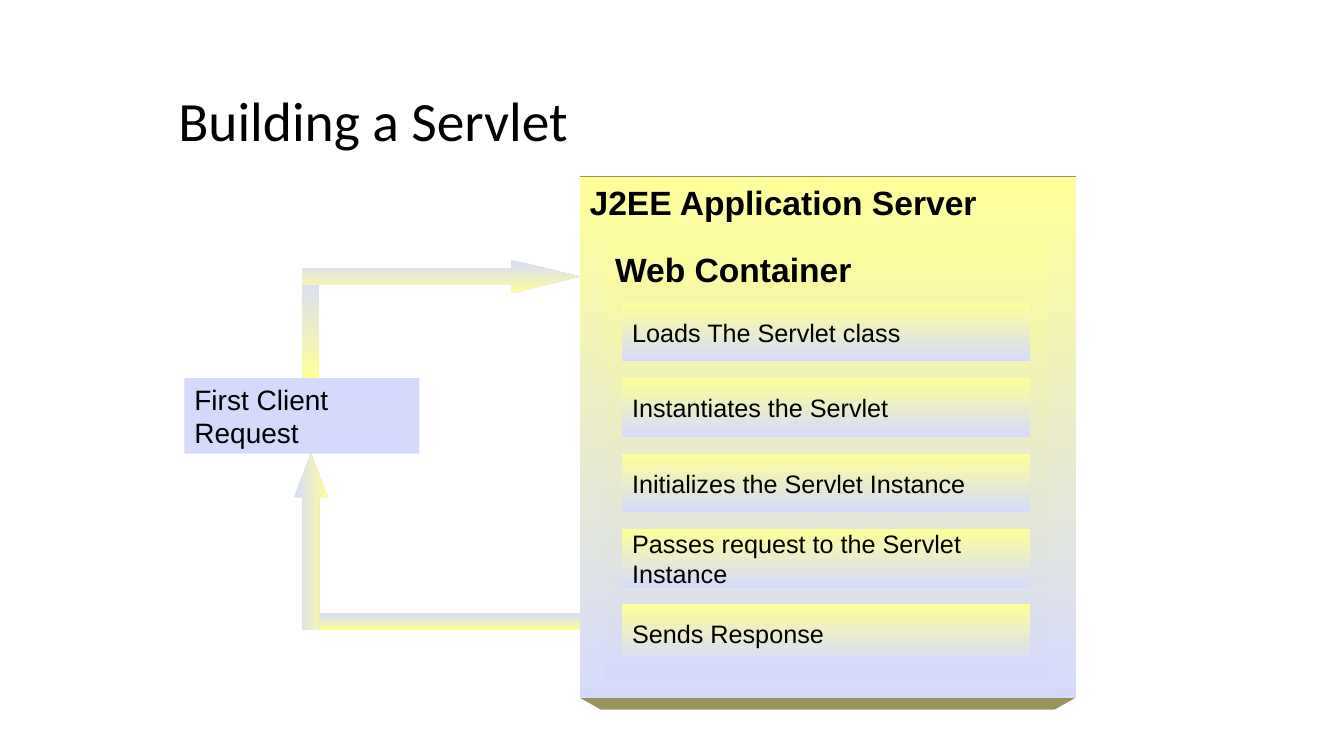
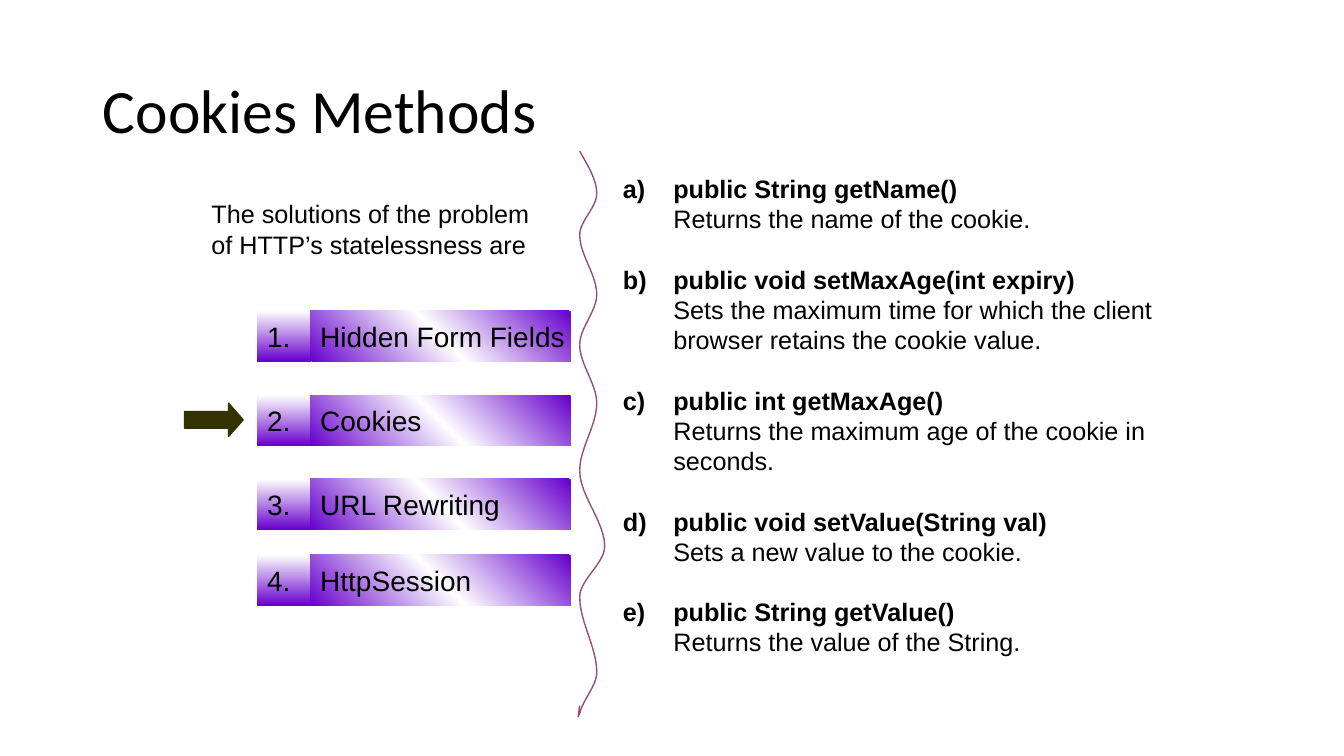
from dataclasses import dataclass

from lxml.etree import SubElement
from pptx import Presentation
from pptx.dml.color import RGBColor
from pptx.enum.shapes import MSO_CONNECTOR, MSO_SHAPE
from pptx.enum.text import MSO_ANCHOR, MSO_AUTO_SIZE, PP_ALIGN
from pptx.oxml import parse_xml
from pptx.oxml.ns import nsdecls, qn
from pptx.util import Cm, Pt

COLOURS = {
    "text": "000000",
    "yellow": "FFFF99",
    "lavender": "D5DAFD",
    "olive": "9A945C",
    "white": "FFFFFF",
    "violet": "6600CC",
    "pointer": "333300",
    "wave": "954F72",
    "title_shadow": "8086A8",
}
TITLE_FONT = {"name": "Calibri", "bold": False}
BODY = {"name": "Arial", "size": Pt(18), "bold": False}
LABEL = BODY | {"size": Pt(20)}
HEADING = BODY | {"size": Pt(24), "bold": True}

PANEL_STOPS = [(0, "yellow", 100), (100, "lavender", 100)]
CONTAINER_STOPS = [(0, "yellow", 60), (100, "lavender", 100)]
ARROW_STOPS = [(0, "lavender", 100), (100, "yellow", 100)]
NUMBER_STOPS = [(0, "white", 100), (100, "violet", 100)]
SOLUTION_STOPS = [(0, "violet", 100), (50, "white", 100), (100, "violet", 100)]

STEPS = [
    "Loads The Servlet class",
    "Instantiates the Servlet",
    "Initializes the Servlet Instance",
    "Passes request to the Servlet Instance",
    "Sends Response",
]
SOLUTIONS = [
    (2.95, "Hidden Form Fields"),
    (5.08, "Cookies"),
    (7.19, "URL Rewriting"),
    (9.1, "HttpSession"),
]
METHODS = [
    ("public String getName()", "Returns the name of the cookie."),
    ("public void setMaxAge(int expiry)",
     "Sets the maximum time for which the client browser retains the cookie value."),
    ("public int getMaxAge()", "Returns the maximum age of the cookie in seconds."),
    ("public void setValue(String val)", "Sets a new value to the cookie."),
    ("public String getValue()", "Returns the value of the String."),
]
WAVE_KNOTS = [
    (0, 0, 0.6), (0.43, 1.07, 0), (0, 2.11, 0), (0.43, 3.61, 0),
    (0, 4.88, 0), (0.43, 6.35, 0), (0, 8.05, 0), (0.63, 9.96, 0),
    (0, 11.23, 0), (0.43, 13.13, 0), (0, 14.17, -0.23),
]
WAVE_HOOK = [(-0.04, 14.25), (0, 13.97)]


@dataclass
class Box:
    """A rectangle in centimetres."""

    left: float
    top: float
    width: float
    height: float

    def inside(self, left, top, width, height):
        """Return a box whose corner is offset from this one."""
        return Box(self.left + left, self.top + top, width, height)

    def lengths(self):
        """Return the position and size as lengths."""
        return Cm(self.left), Cm(self.top), Cm(self.width), Cm(self.height)


def colour(name):
    """Return a named colour."""
    return RGBColor.from_string(COLOURS[name])


def format_font(font, style):
    """Apply a dict of font values and the text colour."""
    for attribute, value in style.items():
        setattr(font, attribute, value)
    font.color.rgb = colour("text")


def write_text(shape, text, style, anchor, wrap=True):
    """Write one left-aligned paragraph into a shape."""
    frame = shape.text_frame
    frame.word_wrap = wrap
    frame.vertical_anchor = anchor
    paragraph = frame.paragraphs[0]
    paragraph.alignment = PP_ALIGN.LEFT
    run = paragraph.add_run()
    run.text = text
    format_font(run.font, style)


def fill_gradient(shape, stops, angle):
    """Fill a shape with a linear gradient."""
    stop_list = "".join(
        f'<a:gs pos="{position * 1000}"><a:srgbClr val="{COLOURS[name]}">'
        f'<a:alpha val="{opacity * 1000}"/></a:srgbClr></a:gs>'
        for position, name, opacity in stops
    )
    gradient = parse_xml(
        f'<a:gradFill {nsdecls("a")} rotWithShape="1"><a:gsLst>{stop_list}</a:gsLst>'
        f'<a:lin ang="{angle * 60000}" scaled="0"/></a:gradFill>'
    )
    shape.element.spPr.find(qn("a:prstGeom")).addnext(gradient)


def add_block(slide, box, stops, angle=90, kind=MSO_SHAPE.RECTANGLE):
    """Add a borderless gradient shape."""
    shape = slide.shapes.add_shape(kind, *box.lengths())
    shape.shadow.inherit = False
    shape.line.fill.background()
    fill_gradient(shape, stops, angle)
    return shape


def add_title(slide, text, size, box):
    """Place and format the title placeholder."""
    title = slide.shapes.title
    title.left, title.top, title.width, title.height = box.lengths()
    write_text(title, text, TITLE_FONT | {"size": size}, MSO_ANCHOR.MIDDLE)
    title.text_frame.auto_size = MSO_AUTO_SIZE.NONE
    title.text_frame.paragraphs[0].line_spacing = 0.9
    return title


def add_title_shadow(title):
    """Give the title letters a soft offset shadow."""
    properties = title.text_frame.paragraphs[0].runs[0].font.fill
    run_properties = title.text_frame.paragraphs[0].runs[0]._r.get_or_add_rPr()
    properties.solid()
    properties.fore_color.rgb = colour("text")
    effects = parse_xml(
        f'<a:effectLst {nsdecls("a")}><a:outerShdw dist="35921" dir="2700000">'
        f'<a:srgbClr val="{COLOURS["title_shadow"]}"/></a:outerShdw></a:effectLst>'
    )
    run_properties.find(qn("a:solidFill")).addnext(effects)


def add_server(slide, box):
    """Draw the server panel, its container and the steps."""
    right, bottom = box.left + box.width, box.top + box.height
    builder = slide.shapes.build_freeform(Cm(box.left), Cm(bottom), 1.0)
    builder.add_line_segments([
        (Cm(right), Cm(bottom)),
        (Cm(right - 0.53), Cm(bottom + 0.3)),
        (Cm(box.left + 0.53), Cm(bottom + 0.3)),
    ])
    edge = builder.convert_to_shape()
    edge.shadow.inherit = False
    edge.fill.solid()
    edge.fill.fore_color.rgb = colour("olive")
    edge.line.fill.background()

    panel = add_block(slide, box, PANEL_STOPS)
    write_text(panel, "J2EE Application Server", HEADING, MSO_ANCHOR.TOP)
    rim = slide.shapes.add_connector(
        MSO_CONNECTOR.STRAIGHT, Cm(box.left), Cm(box.top), Cm(right), Cm(box.top))
    rim.line.color.rgb = colour("olive")
    rim.line.width = Pt(0.75)
    SubElement(rim.element.spPr, qn("a:effectLst"))

    container_box = box.inside(0.64, 1.7, 11.15, 11)
    container = add_block(slide, container_box, CONTAINER_STOPS)
    write_text(container, "Web Container", HEADING, MSO_ANCHOR.TOP)
    for index, text in enumerate(STEPS):
        step_box = container_box.inside(0.43, 1.48 + index * 1.9, 10.29, 1.48)
        step = add_block(slide, step_box, PANEL_STOPS)
        write_text(step, text, BODY, MSO_ANCHOR.MIDDLE)


def add_request_loop(slide, box):
    """Draw the client and the arrows to and from the server."""
    client = slide.shapes.add_shape(
        MSO_SHAPE.RECTANGLE, *box.inside(0, 2.98, 5.92, 1.9).lengths())
    client.shadow.inherit = False
    client.fill.solid()
    client.fill.fore_color.rgb = colour("lavender")
    client.line.fill.background()
    write_text(client, "First Client Request", LABEL, MSO_ANCHOR.MIDDLE)

    bar, arrow = MSO_SHAPE.FLOWCHART_ALTERNATE_PROCESS, MSO_SHAPE.RIGHT_ARROW
    add_block(slide, box.inside(2.97, 0.23, 0.43, 2.75), ARROW_STOPS, kind=bar)
    request = add_block(slide, box.inside(2.97, 0, 6.99, 0.84), ARROW_STOPS, kind=arrow)
    request.adjustments[1] = 2.06
    add_block(slide, box.inside(2.97, 8.89, 6.99, 0.43), ARROW_STOPS, kind=bar)
    response = add_block(slide, box.inside(0.96, 6.68, 4.45, 0.84), ARROW_STOPS, kind=arrow)
    response.adjustments[1] = 1.31
    response.rotation = 270


def add_solutions(slide, box):
    """Draw the introduction, the numbered solutions and the pointer."""
    intro = slide.shapes.add_textbox(*box.inside(0.43, 0, 9.1, 2.54).lengths())
    write_text(intro, "The solutions of the problem of HTTP’s statelessness are",
               BODY, MSO_ANCHOR.TOP)
    for number, (top, text) in enumerate(SOLUTIONS, 1):
        number_block = add_block(slide, box.inside(1.83, top, 1.37, 1.28), NUMBER_STOPS)
        write_text(number_block, f"{number}.", LABEL, MSO_ANCHOR.MIDDLE, wrap=False)
        label = add_block(slide, box.inside(3.17, top, 6.56, 1.28), SOLUTION_STOPS, 315)
        write_text(label, text, LABEL, MSO_ANCHOR.MIDDLE, wrap=False)
    pointer = slide.shapes.add_shape(
        MSO_SHAPE.RIGHT_ARROW, *box.inside(0, 5.28, 1.48, 0.84).lengths())
    pointer.shadow.inherit = False
    pointer.adjustments[1] = 0.44
    pointer.fill.solid()
    pointer.fill.fore_color.rgb = colour("pointer")
    pointer.line.color.rgb = colour("pointer")
    pointer.line.width = Pt(1)


def wave_points(samples=12):
    """Yield points of a smooth curve through the wave knots."""
    for (x0, y0, slope0), (x1, y1, slope1) in zip(WAVE_KNOTS, WAVE_KNOTS[1:]):
        for sample in range(1, samples + 1):
            t = sample / samples
            ease = t * t * (3 - 2 * t)
            bend = t * (1 - t) * (slope0 * (1 - t) - slope1 * t)
            yield x0 + (x1 - x0) * ease + bend, y0 + (y1 - y0) * t
    yield from WAVE_HOOK


def add_wave(slide, left, top):
    """Draw the wavy divider from its upper end."""
    builder = slide.shapes.build_freeform(Cm(left), Cm(top), 1.0)
    builder.add_line_segments(
        [(Cm(left + x), Cm(top + y)) for x, y in wave_points()], close=False)
    wave = builder.convert_to_shape()
    wave.shadow.inherit = False
    wave.fill.background()
    wave.line.color.rgb = colour("wave")
    wave.line.width = Pt(1)


def add_methods(slide, box):
    """Write the lettered list of methods."""
    frame = slide.shapes.add_textbox(*box.lengths()).text_frame
    frame.word_wrap = True
    for index, (signature, description) in enumerate(METHODS):
        paragraph = frame.add_paragraph() if index else frame.paragraphs[0]
        paragraph.space_before = Pt(21.6 if index else 0)
        properties = paragraph._p.get_or_add_pPr()
        properties.set("marL", str(Cm(1.27)))
        properties.set("indent", str(-Cm(1.27)))
        SubElement(properties, qn("a:buFont"), typeface="Arial")
        SubElement(properties, qn("a:buAutoNum"), type="alphaLcParenR")
        format_font(paragraph.font, BODY)
        for text, bold in ((signature, True), (description, False)):
            if not bold:
                paragraph.add_line_break()
            run = paragraph.add_run()
            run.text = text
            format_font(run.font, BODY | {"bold": bold})


def build_servlet_slide(slide):
    """Build the servlet life cycle slide."""
    add_title(slide, "Building a Servlet", Pt(39.6), Box(4.24, 2.41, 25.4, 1.4))
    add_server(slide, Box(14.61, 4.45, 12.5, 13.13))
    add_request_loop(slide, Box(4.65, 6.55, 9.96, 9.32))


def build_cookies_slide(slide):
    """Build the cookie methods slide."""
    title = add_title(slide, "Cookies Methods", Pt(44), Box(2.34, 1.02, 29.21, 3.68))
    add_title_shadow(title)
    add_methods(slide, Box(15.45, 4.24, 13.97, 12.5))
    add_solutions(slide, Box(4.65, 4.88, 9.73, 10.38))
    add_wave(slide, 14.61, 3.81)


def main():
    """Build and save the presentation."""
    presentation = Presentation()
    presentation.slide_width, presentation.slide_height = Cm(33.87), Cm(19.05)
    for build in (build_servlet_slide, build_cookies_slide):
        build(presentation.slides.add_slide(presentation.slide_layouts[5]))
    presentation.save("out.pptx")


if __name__ == "__main__":
    main()
